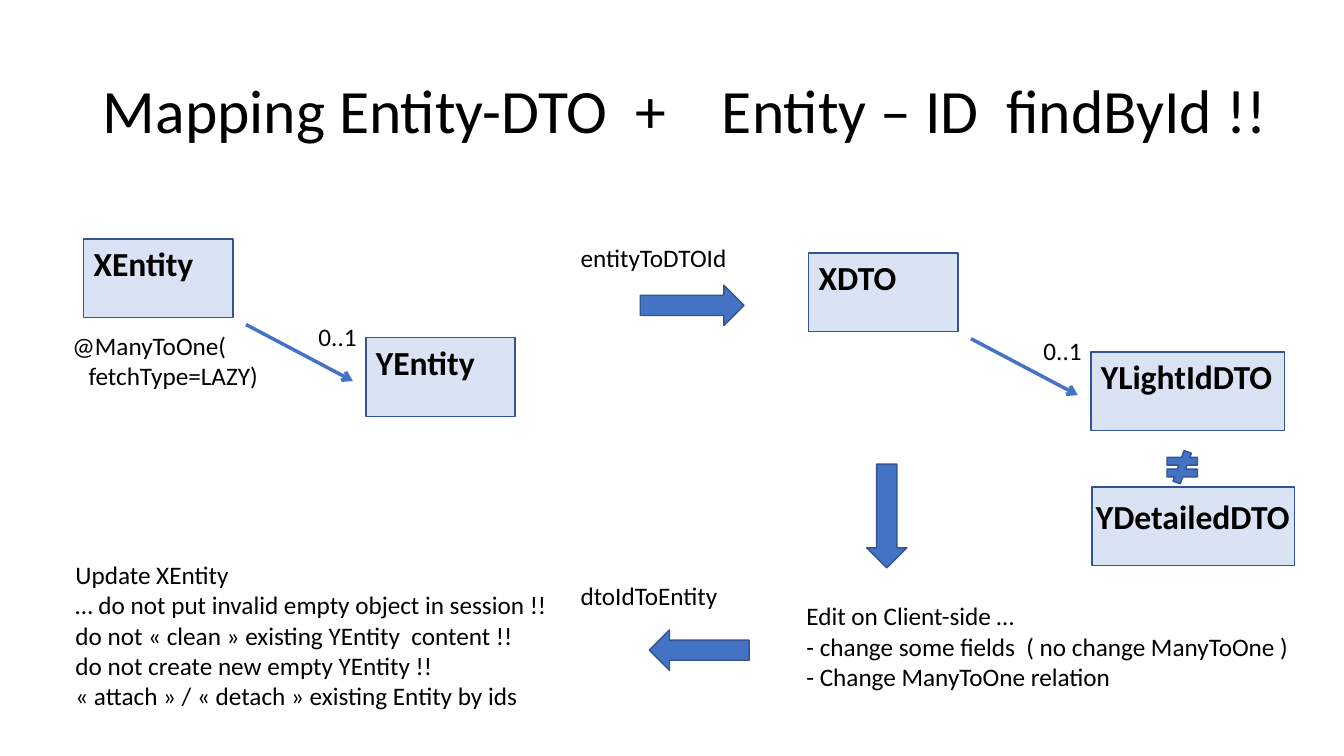
from lxml import etree
from pptx import Presentation
from pptx import util as u
from pptx.dml.color import RGBColor
from pptx.enum import shapes, text
from pptx.oxml.ns import qn

# Content
TITLE = "Mapping Entity-DTO  +\tEntity – ID  findById !!"
TITLE_TAB = 6.14

# Each relation: origin, owner (name, label width), target (name, label width, box width)
RELATIONS = [
    ((0.83, 2.37), ("XEntity", 1.21), ("YEntity", 1.2, 1.48)),
    ((8.02, 2.51), ("XDTO", 0.98), ("YLightIdDTO", 1.92, 1.92)),
]
DETAILED = ("YDetailedDTO", (10.83, 4.83, 2.01), (10.77, 4.87, 2.15))

# Notes: left, top, width, height, lines
NOTES = [
    (0.62, 3.23, 2.13, 0.71, ["@ManyToOne(", "fetchType=LAZY)"]),
    (7.9, 5.91, 5.04, 1.01, [
        "Edit on Client-side …",
        "- change some fields  ( no change ManyToOne )",
        "- Change ManyToOne relation"]),
    (0.65, 5.5, 4.93, 1.62, [
        "Update XEntity",
        "… do not put invalid empty object in session !!",
        "do not « clean » existing YEntity  content !!",
        "do not create new empty YEntity !!",
        "« attach » / « detach » existing Entity by ids"]),
]
STEPS = [("entityToDTOId", 2.36), ("dtoIdToEntity", 5.71)]
STEP_X, STEP_W = 5.66, 1.86

# Block arrows: left, top, width, rotation
ARROWS = [(6.35, 2.83, 1.03, 0), (8.28, 4.92, 1.03, 90), (6.44, 6.25, 0.99, 180)]

BOX_W, BOX_H, LINE_H, ARROW_H = 1.48, 0.78, 0.4, 0.4
# Offsets inside a relation, from the owner's corner
TARGET, COUNT = (2.8, 0.98), (2.23, 0.77)
LINK = ((1.61, 0.85), (2.67, 1.41))
PALE, BLUE, EDGE, INK = "DAE3F3", "4472C4", "325491", "000000"

prs = Presentation()
prs.slide_width, prs.slide_height = u.Inches(13.33), u.Inches(7.5)
s = prs.slides.add_slide(prs.slide_layouts[5])


def color(value):
    return RGBColor.from_string(value)


def inches(*values):
    return [u.Inches(v) for v in values]


def style(p, size=18, bold=False):
    p.font.size, p.font.bold, p.font.name = u.Pt(size), bold, "Calibri"
    p.font.color.rgb = color(INK)


def add_text(lines, x, y, w, h, size=18, bold=False, wrap=False, indent=0):
    tf = s.shapes.add_textbox(*inches(x, y, w, h)).text_frame
    tf.word_wrap = wrap
    tf.auto_size = text.MSO_AUTO_SIZE.SHAPE_TO_FIT_TEXT
    for i, line in enumerate(lines):
        p = tf.paragraphs[0] if i == 0 else tf.add_paragraph()
        p.text = line
        if i and indent:
            p._p.get_or_add_pPr().set("marL", str(u.Inches(indent)))
        style(p, size, bold)


def add_block(kind, x, y, w, h, fill, rotation=0):
    sp = s.shapes.add_shape(kind, *inches(x, y, w, h))
    sp.shadow.inherit = False
    sp.fill.solid()
    sp.fill.fore_color.rgb = color(fill)
    sp.line.color.rgb = color(EDGE)
    sp.line.width = u.Pt(1)
    sp.rotation = rotation


def add_box(name, x, y, label_w, w=BOX_W):
    add_block(shapes.MSO_SHAPE.RECTANGLE, x, y, w, BOX_H, PALE)
    add_text([name], x, y - 0.01, label_w, 0.5, size=24, bold=True)


def add_link(x1, y1, x2, y2):
    line = s.shapes.add_connector(shapes.MSO_CONNECTOR.STRAIGHT, *inches(x1, y1, x2, y2))
    line.line.color.rgb = color(BLUE)
    line.line.width = u.Pt(2.5)
    etree.SubElement(line.line._get_or_add_ln(), qn("a:tailEnd"), type="arrow")
    etree.SubElement(line._element.spPr, qn("a:effectLst"))


# Title
title = s.shapes.title
title.left, title.top, title.width, title.height = inches(0.92, 0.4, 11.93, 1.45)
tf = title.text_frame
tf.text = TITLE
tf.vertical_anchor = text.MSO_ANCHOR.MIDDLE
p = tf.paragraphs[0]
p.alignment, p.line_spacing = text.PP_ALIGN.LEFT, 0.9
tabs = etree.SubElement(p._p.get_or_add_pPr(), qn("a:tabLst"))
etree.SubElement(tabs, qn("a:tab"), pos=str(u.Inches(TITLE_TAB)), algn="l")
style(p, 44)

# Relations between entities and between DTOs
for (x, y), (owner, owner_w), (target, label_w, box_w) in RELATIONS:
    add_box(owner, x, y, owner_w)
    add_text(["0..1"], x + COUNT[0], y + COUNT[1], 0.58, LINE_H)
    add_box(target, x + TARGET[0], y + TARGET[1], label_w, box_w)
    add_link(*(o + d for point in LINK for o, d in zip((x, y), point)))

# Detailed DTO, different from the light one
name, (x, y, w), (label_x, label_y, label_w) = DETAILED
add_block(shapes.MSO_SHAPE.RECTANGLE, x, y, w, BOX_H, PALE)
add_text([name], label_x, label_y, label_w, 0.5, size=24, bold=True)
add_block(shapes.MSO_SHAPE.MATH_NOT_EQUAL, 11.52, 4.47, 0.41, 0.33, BLUE)

# Flow arrows, step names and notes
for x, y, w, rotation in ARROWS:
    add_block(shapes.MSO_SHAPE.RIGHT_ARROW, x, y, w, ARROW_H, BLUE, rotation)
for step, y in STEPS:
    add_text([step], STEP_X, y, STEP_W, LINE_H, wrap=True)
for x, y, w, h, lines in NOTES:
    add_text(lines, x, y, w, h, indent=0.16 if lines[0].startswith("@") else 0)

prs.save("out.pptx")
